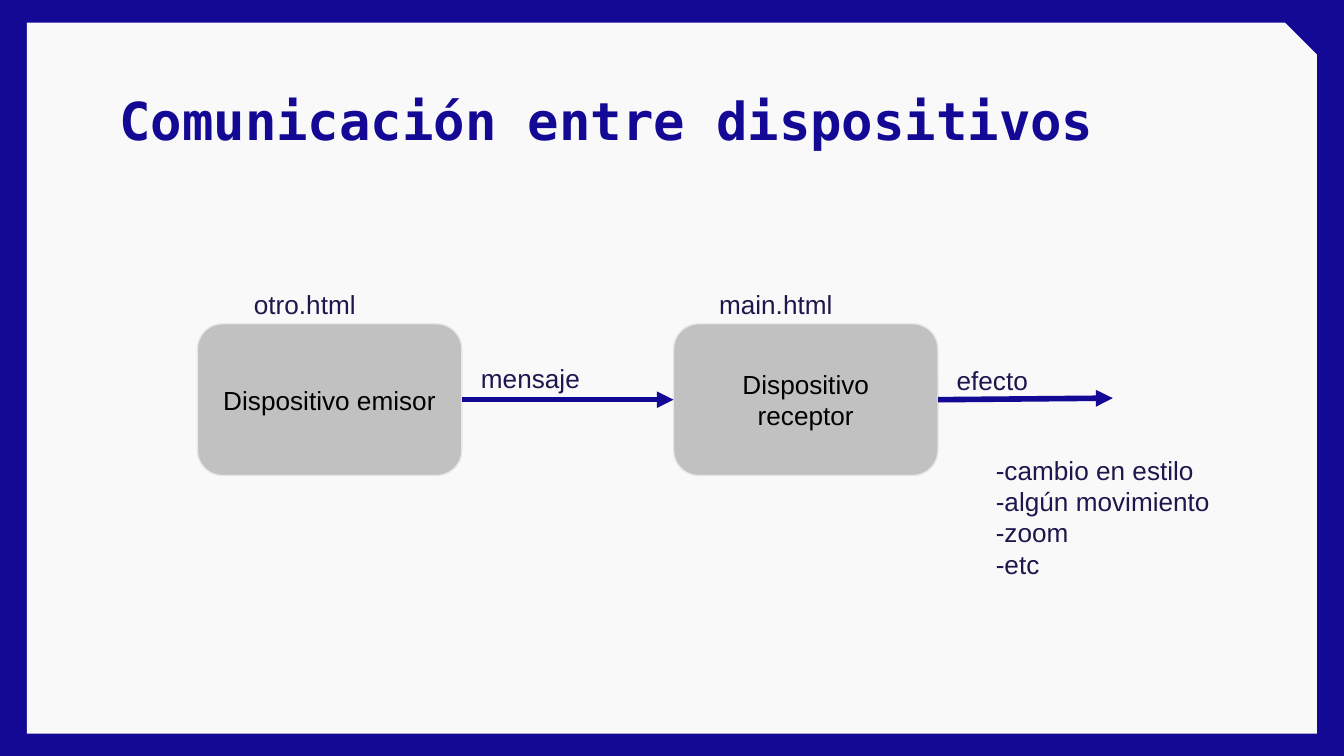
from lxml.etree import SubElement
from pptx import Presentation
from pptx.dml.color import RGBColor
from pptx.enum.shapes import MSO_CONNECTOR, MSO_SHAPE as Shape
from pptx.enum.text import MSO_ANCHOR as Anchor, PP_ALIGN as Align
from pptx.oxml.ns import qn
from pptx.util import Cm, Pt

BLUE, INK = "130994", "1F164D"


def color(hex_string):
    return RGBColor.from_string(hex_string)


def write(shape, text, size=14, font="Arial", ink=INK, bold=False,
          align=Align.LEFT, anchor=Anchor.TOP, spacing=1.0):
    frame = shape.text_frame
    frame.text = text
    frame.word_wrap = True
    frame.vertical_anchor = anchor
    frame.margin_left = frame.margin_right = Cm(0.25)
    frame.margin_top = frame.margin_bottom = Cm(0.25)
    for paragraph in frame.paragraphs:
        paragraph.alignment = align
        paragraph.line_spacing = spacing
        for run in paragraph.runs:
            run.font.size = Pt(size)
            run.font.name = font
            run.font.bold = bold
            run.font.color.rgb = color(ink)


prs = Presentation()
prs.slide_width, prs.slide_height = Cm(25.4), Cm(14.29)
slide = prs.slides.add_slide(prs.slide_layouts[6])
shapes = slide.shapes

# Blue border around a light panel with a cut corner
slide.background.fill.solid()
slide.background.fill.fore_color.rgb = color(BLUE)
panel = shapes.add_shape(Shape.SNIP_1_RECTANGLE, Cm(0.51), Cm(0.43), Cm(24.38), Cm(13.44))
panel.adjustments[0] = 0.045
panel.shadow.inherit = False
panel.fill.solid()
panel.fill.fore_color.rgb = color("F9F9F9")
panel.line.fill.background()

# Title
title = shapes.add_textbox(Cm(2.01), Cm(1.24), Cm(21.41), Cm(1.6))
write(title, "Comunicación entre dispositivos", size=28,
      font="DejaVu Sans Mono", ink=BLUE, bold=True, spacing=1.15)

# Devices
device_width, device_height, device_top = 5, 2.87, 6.12
sender_left, receiver_left = 3.73, 12.73
for left, name in ((sender_left, "Dispositivo emisor"),
                   (receiver_left, "Dispositivo receptor")):
    device = shapes.add_shape(Shape.FLOWCHART_ALTERNATE_PROCESS, Cm(left), Cm(device_top),
                              Cm(device_width), Cm(device_height))
    device.shadow.inherit = False
    device.fill.solid()
    device.fill.fore_color.rgb = color("C1C1C1")
    device.line.color.rgb = color("E8E8E8")
    device.line.width = Pt(0.75)
    write(device, name, ink="000000", align=Align.CENTER, anchor=Anchor.MIDDLE)

# Arrows from the right side of each device
middle = device_top + device_height / 2
for left, end_x, end_y in ((sender_left, receiver_left, middle),
                           (receiver_left, 21.03, middle - 0.03)):
    arrow = shapes.add_connector(MSO_CONNECTOR.STRAIGHT, Cm(left + device_width), Cm(middle),
                                 Cm(end_x), Cm(end_y))
    arrow.line.color.rgb = color(BLUE)
    arrow.line.width = Pt(3)
    SubElement(arrow.line._get_or_add_ln(), qn("a:tailEnd"), type="triangle")
    SubElement(arrow._element.spPr, qn("a:effectLst"))

# File names, arrow labels and list of effects
for text, left, top, width, height in (
    ("otro.html", 4.55, 5.21, 4.01, 0.74),
    ("main.html", 13.34, 5.21, 4.01, 0.74),
    ("mensaje", 8.84, 6.6, 3.43, 0.74),
    ("efecto", 17.83, 6.63, 2.87, 0.74),
    ("-cambio en estilo\n-algún movimiento\n-zoom\n-etc", 18.57, 8.33, 5.28, 3.96),
):
    label = shapes.add_textbox(Cm(left), Cm(top), Cm(width), Cm(height))
    write(label, text)

prs.save("out.pptx")
